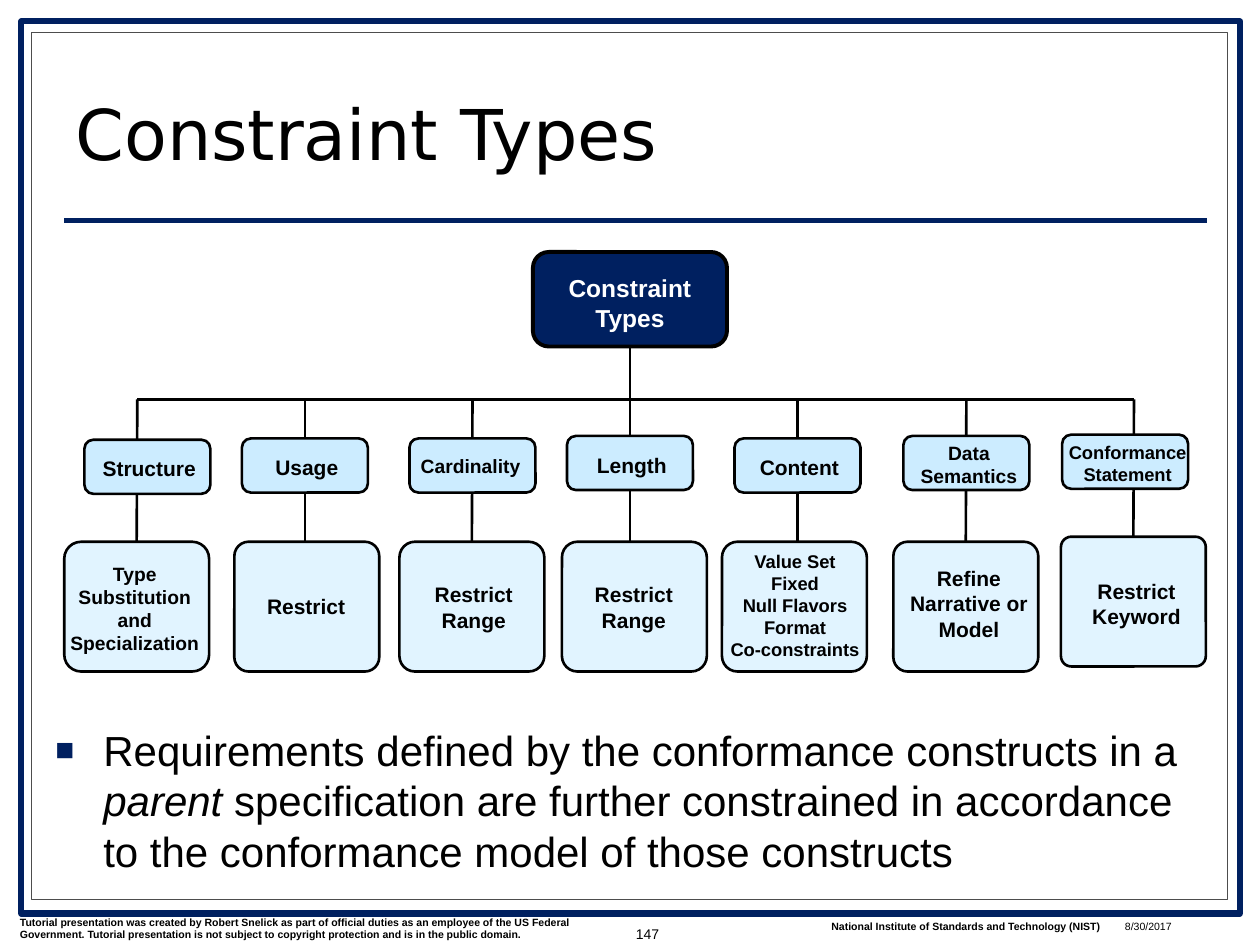
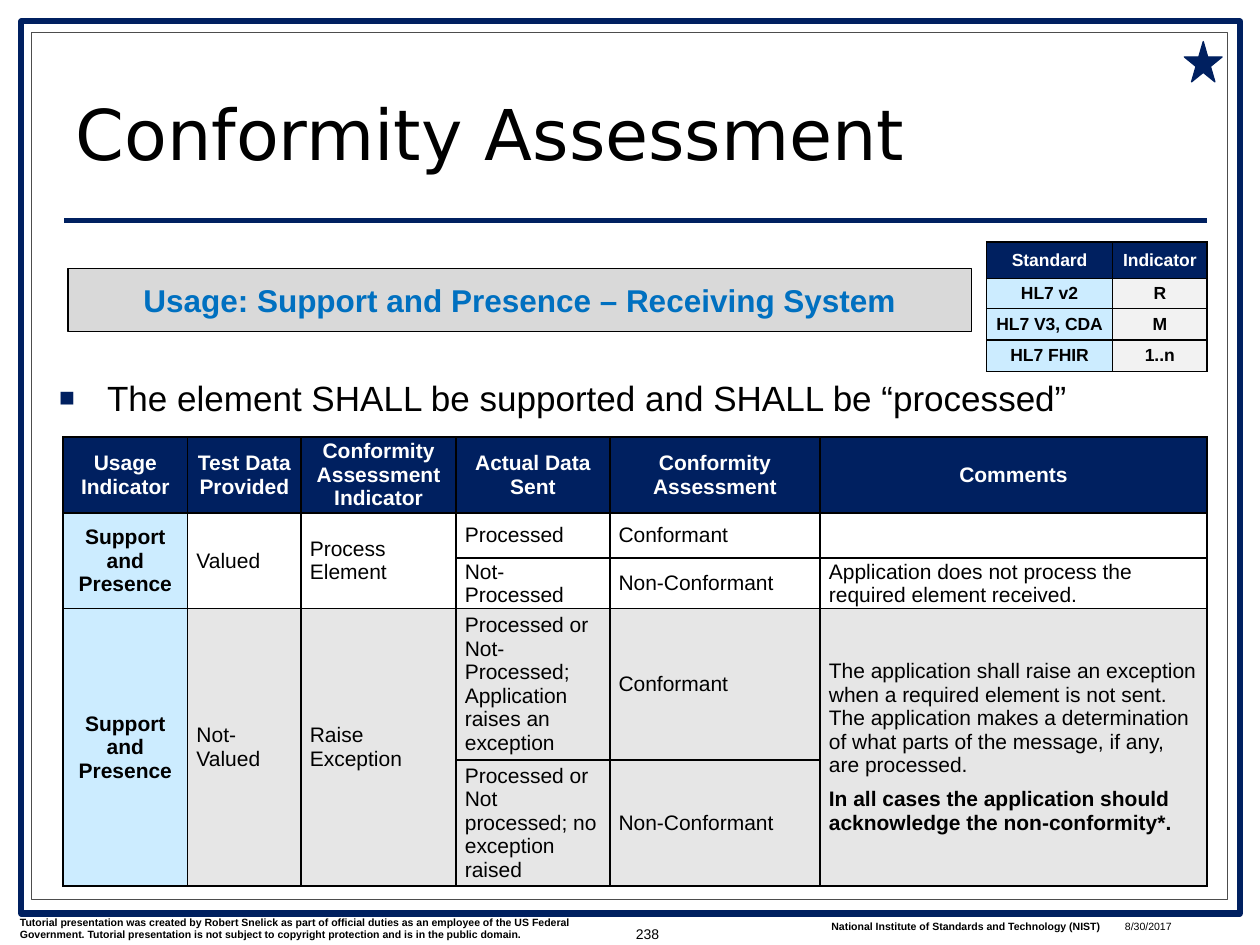
from lxml.etree import SubElement
from pptx import Presentation
from pptx.dml.color import RGBColor
from pptx.enum.shapes import MSO_CONNECTOR, MSO_SHAPE
from pptx.enum.text import MSO_ANCHOR, MSO_AUTO_SIZE, PP_ALIGN
from pptx.oxml.ns import qn
from pptx.util import Inches, Pt

NAVY = RGBColor(0x00, 0x20, 0x60)
BLACK = RGBColor(0x00, 0x00, 0x00)
WHITE = RGBColor(0xFF, 0xFF, 0xFF)
FRAME_GRAY = RGBColor(0x4D, 0x4D, 0x4D)
BANNER_GRAY = RGBColor(0xD9, 0xD9, 0xD9)
ROW_GRAY = RGBColor(0xE6, 0xE6, 0xE6)
INDICATOR_GRAY = RGBColor(0xF2, 0xF2, 0xF2)
SKY = RGBColor(0xCC, 0xEC, 0xFF)
PALE_SKY = RGBColor(0xE1, 0xF4, 0xFF)
BANNER_BLUE = RGBColor(0x00, 0x70, 0xC0)

BODY_FONT = "Arial"
TITLE_FONT = "DejaVu Sans"
CENTER = PP_ALIGN.CENTER

DISCLAIMER = ("Tutorial presentation was created by Robert Snelick as part of official duties "
              "as an employee of the US Federal Government. Tutorial presentation is not "
              "subject to copyright protection and is in the public domain.")
INSTITUTE = "National Institute of Standards and Technology (NIST)"
DATE = "8/30/2017"

BUS_Y = 3.17
STEMS = [1.09, 2.42, 3.75, 5, 6.33, 7.67, 9]
CATEGORY_SIZE = (1, 0.43)
OUTCOME_SIZE = (1.15, 1.03)
# Box left and top, label place, label size, label
CATEGORIES = [
    (0.67, 3.49, (0.67, 3.57, 1.03, 0.3), 12, "Structure"),
    (1.92, 3.48, (1.92, 3.56, 1.03, 0.3), 12, "Usage"),
    (3.25, 3.48, (3.22, 3.56, 1.03, 0.29), 11, "Cardinality"),
    (4.5, 3.46, (4.5, 3.54, 1.03, 0.3), 12, "Length"),
    (5.83, 3.48, (5.83, 3.56, 1.03, 0.3), 12, "Content"),
    (7.17, 3.46, (7.15, 3.45, 1.08, 0.47), 11, "Data Semantics"),
    (8.43, 3.45, (8.34, 3.45, 1.22, 0.45), 10.5, "Conformance Statement"),
]
# Box left and top, corner, label place, label size, label
OUTCOMES = [
    (0.51, 4.3, 0.13, (0.45, 4.41, 1.24, 0.84), 11, "Type Substitution and Specialization"),
    (1.86, 4.3, 0.11, (1.68, 4.66, 1.5, 0.3), 12, "Restrict"),
    (3.17, 4.3, 0.12, (3.15, 4.57, 1.22, 0.5), 12, "Restrict Range"),
    (4.46, 4.3, 0.12, (4.42, 4.57, 1.22, 0.5), 12, "Restrict Range"),
    (5.73, 4.3, 0.12, (5.57, 4.32, 1.48, 0.98), 10.5,
     "Value Set\nFixed\nNull Flavors Format\nCo-constraints"),
    (7.09, 4.3, 0.11, (7.08, 4.44, 1.22, 0.71), 12, "Refine Narrative or Model"),
    (8.42, 4.26, 0.08, (8.41, 4.54, 1.22, 0.5), 12, "Restrict Keyword"),
]

ASSESSMENT = [
    ["Usage Indicator", "Test Data Provided", "Conformity Assessment Indicator",
     "Actual Data Sent", "Conformity Assessment", "Comments"],
    ["Support and Presence", "Valued", "Process Element", "Processed", "Conformant", ""],
    ["", "", "", "Not-Processed", "Non-Conformant",
     "Application does not process the required element received."],
    ["Support and Presence", "Not-Valued", "Raise Exception",
     "Processed or Not-Processed; Application raises an exception", "Conformant",
     "The application shall raise an exception when a required element is not sent. "
     "The application makes a determination of what parts of the message, if any, "
     "are processed."],
    ["", "", "", "Processed or Not processed; no exception raised", "Non-Conformant", ""],
]
ACKNOWLEDGE = "In all cases the application should acknowledge the non-conformity*."
INDICATORS = [["Standard", "Indicator"], ["HL7 v2", "R"],
              ["HL7 V3, CDA", "M"], ["HL7 FHIR", "1..n"]]


def inches(values):
    return [Inches(value) for value in values]


def add_run(paragraph, text, size, color=BLACK, bold=False, italic=False, font=BODY_FONT):
    run = paragraph.add_run()
    run.text = text
    run.font.name = font
    run.font.size = Pt(size)
    run.font.color.rgb = color
    run.font.bold = bold
    run.font.italic = italic


def add_label(slide, place, text, size, color=BLACK, bold=True, align=CENTER,
              anchor=MSO_ANCHOR.TOP):
    """Add a text box; each line of text becomes a paragraph."""
    label = slide.shapes.add_textbox(*inches(place))
    frame = label.text_frame
    frame.word_wrap = True
    frame.vertical_anchor = anchor
    for number, line in enumerate(text.split("\n")):
        paragraph = frame.add_paragraph() if number else frame.paragraphs[0]
        paragraph.alignment = align
        add_run(paragraph, line, size, color, bold)
    return label


def add_box(slide, kind, place, fill, line, weight, corner=None):
    box = slide.shapes.add_shape(kind, *inches(place))
    box.shadow.inherit = False
    box.fill.solid()
    box.fill.fore_color.rgb = fill
    box.line.color.rgb = line
    box.line.width = Pt(weight)
    if corner is not None:
        box.adjustments[0] = corner
    return box


def add_line(slide, start, end, color=BLACK, weight=1.5):
    line = slide.shapes.add_connector(MSO_CONNECTOR.STRAIGHT, *inches(start + end))
    line.line.color.rgb = color
    line.line.width = Pt(weight)
    SubElement(line.element.spPr, qn("a:effectLst"))
    return line


def add_shared_frame(slide, layout):
    """Draw the border, title rule and footers, then move them to the layout."""
    parts = [
        add_box(slide, MSO_SHAPE.RECTANGLE, (0.17, 0.17, 9.67, 7.08), WHITE, NAVY, 3.5),
        add_box(slide, MSO_SHAPE.RECTANGLE, (0.25, 0.26, 9.49, 6.88), WHITE, FRAME_GRAY, 0.75),
        add_line(slide, (0.51, 1.75), (9.58, 1.75), NAVY, 3),
        add_label(slide, (0.06, 7.22, 4.83, 0.3), DISCLAIMER, 6, align=PP_ALIGN.LEFT),
        add_label(slide, (6.5, 7.25, 2.38, 0.2), INSTITUTE, 6, align=PP_ALIGN.LEFT),
    ]
    for number, part in enumerate(parts):
        part.element.xpath(".//p:cNvPr")[0].set("id", str(100 + number))
        layout.shapes.element.append(part.element)


def place_placeholder(placeholder, place):
    placeholder.left, placeholder.top, placeholder.width, placeholder.height = inches(place)
    frame = placeholder.text_frame
    frame.word_wrap = True
    frame.auto_size = MSO_AUTO_SIZE.NONE
    return frame


def set_title(slide, text):
    frame = place_placeholder(slide.shapes.title, (0.5, 0.53, 8.92, 0.9))
    frame.vertical_anchor = MSO_ANCHOR.BOTTOM
    paragraph = frame.paragraphs[0]
    paragraph.alignment = PP_ALIGN.LEFT
    paragraph.line_spacing = 0.8
    add_run(paragraph, text, 40, font=TITLE_FONT)


def set_bullet(slide, place, size, runs):
    """Fill the body placeholder with one bullet; runs are (text, italic) pairs."""
    paragraph = place_placeholder(slide.placeholders[1], place).paragraphs[0]
    paragraph.space_before = Pt(0)
    properties = paragraph._p.get_or_add_pPr()
    properties.set("marL", str(Inches(0.38)))
    properties.set("indent", str(-Inches(0.38)))
    color = SubElement(properties, qn("a:buClr"))
    SubElement(color, qn("a:srgbClr"), val=str(NAVY))
    SubElement(properties, qn("a:buSzPct"), val="75000")
    SubElement(properties, qn("a:buFont"), typeface=BODY_FONT)
    SubElement(properties, qn("a:buChar"), char="■")
    for text, italic in runs:
        add_run(paragraph, text, size, italic=italic)


def add_footer(slide, number):
    add_label(slide, (8.83, 7.25, 0.92, 0.17), DATE, 6, bold=False, align=PP_ALIGN.LEFT)
    add_label(slide, (4.75, 7.15, 0.58, 0.52), number, 8, bold=False,
              align=PP_ALIGN.RIGHT, anchor=MSO_ANCHOR.MIDDLE)


def style_cell(cell, fill):
    properties = cell._tc.get_or_add_tcPr()
    for side in ("a:lnL", "a:lnR", "a:lnT", "a:lnB"):
        border = SubElement(properties, qn(side), w=str(Pt(1)))
        SubElement(SubElement(border, qn("a:solidFill")), qn("a:srgbClr"), val=str(BLACK))
    cell.fill.solid()
    cell.fill.fore_color.rgb = fill
    cell.vertical_anchor = MSO_ANCHOR.MIDDLE
    cell.margin_left = cell.margin_right = Inches(0.07)
    cell.margin_top = cell.margin_bottom = 0


def add_grid(slide, corner, widths, heights, rows, size, look):
    """Add a table; look(row, column) gives a cell's fill, colour, bold and alignment."""
    place = (*corner, sum(widths), sum(heights))
    table = slide.shapes.add_table(len(rows), len(widths), *inches(place)).table
    table.horz_banding = False
    for column, width in zip(table.columns, widths):
        column.width = Inches(width)
    for r, (height, texts) in enumerate(zip(heights, rows)):
        table.rows[r].height = Inches(height)
        for c, text in enumerate(texts):
            fill, color, bold, align = look(r, c)
            cell = table.cell(r, c)
            style_cell(cell, fill)
            paragraph = cell.text_frame.paragraphs[0]
            paragraph.alignment = align
            if text:
                add_run(paragraph, text, size, color, bold)
    return table


def assessment_look(row, column):
    if row == 0:
        return NAVY, WHITE, True, CENTER
    if column == 0:
        return SKY, BLACK, True, CENTER
    return (WHITE if row < 3 else ROW_GRAY), BLACK, False, PP_ALIGN.LEFT


def indicator_look(row, column):
    if row == 0:
        return NAVY, WHITE, True, CENTER
    return (INDICATOR_GRAY if column else SKY), BLACK, True, CENTER


def add_constraint_tree(slide):
    rounded = MSO_SHAPE.ROUNDED_RECTANGLE
    for stem, (left, top, corner, place, size, text) in zip(STEMS, OUTCOMES):
        outcome = add_box(slide, rounded, (left, top, *OUTCOME_SIZE), PALE_SKY, BLACK, 1.5, corner)
        add_label(slide, place, text, size)
        drop = add_line(slide, (stem, BUS_Y), (stem, top))
        if abs(left + OUTCOME_SIZE[0] / 2 - stem) < 0.01:
            drop.end_connect(outcome, 0)
    for left, top, place, size, text in CATEGORIES:
        add_box(slide, rounded, (left, top, *CATEGORY_SIZE), SKY, BLACK, 1.5)
        add_label(slide, place, text, size)
    root = add_box(slide, rounded, (4.23, 2, 1.54, 0.75), NAVY, BLACK, 2.25)
    add_label(slide, (4.3, 2.12, 1.4, 0.57), "Constraint Types", 14, WHITE)
    add_line(slide, (STEMS[0], BUS_Y), (STEMS[-1], BUS_Y))
    add_line(slide, (5, 2.75), (5, BUS_Y)).begin_connect(root, 2)


def add_assessment_table(slide):
    table = add_grid(slide, (0.5, 3.47), [0.99, 0.9, 1.23, 1.22, 1.67, 3.07],
                     [0.57, 0.36, 0.37, 1.12, 0.93], ASSESSMENT, 12, assessment_look)
    for row, column in [(1, 0), (1, 1), (1, 2), (3, 0), (3, 1), (3, 2), (3, 5)]:
        table.cell(row, column).merge(table.cell(row + 1, column))
    acknowledge = table.cell(3, 5).text_frame.add_paragraph()
    acknowledge.space_before = Pt(6)
    add_run(acknowledge, ACKNOWLEDGE, 12, bold=True)


def add_banner(slide, text):
    banner = add_box(slide, MSO_SHAPE.RECTANGLE, (0.54, 2.13, 7.17, 0.5), BANNER_GRAY, BLACK, 0.75)
    banner.text_frame.vertical_anchor = MSO_ANCHOR.MIDDLE
    paragraph = banner.text_frame.paragraphs[0]
    paragraph.alignment = CENTER
    add_run(paragraph, text, 18, BANNER_BLUE, bold=True)


def main():
    deck = Presentation()
    deck.slide_width, deck.slide_height = Inches(10), Inches(7.5)
    layout = deck.slide_layouts[1]

    types = deck.slides.add_slide(layout)
    add_shared_frame(types, layout)
    set_title(types, "Constraint Types")
    set_bullet(types, (0.34, 5.7, 9.27, 1.17), 24, [
        ("Requirements defined by the conformance constructs in a ", False),
        ("parent", True),
        (" specification are further constrained in accordance to the conformance model "
         "of those constructs", False)])
    add_footer(types, "147")
    add_constraint_tree(types)

    conformity = deck.slides.add_slide(layout)
    set_title(conformity, "Conformity Assessment")
    set_bullet(conformity, (0.37, 2.94, 9.17, 0.54), 20,
               [("The element SHALL be supported and SHALL be “processed”", False)])
    add_footer(conformity, "238")
    add_assessment_table(conformity)
    add_banner(conformity, "Usage: Support and Presence – Receiving System")
    add_grid(conformity, (7.83, 1.92), [1, 0.75], [0.29, 0.24, 0.25, 0.25],
             INDICATORS, 10, indicator_look)
    add_box(conformity, MSO_SHAPE.STAR_5_POINT, (9.4, 0.33, 0.3, 0.32), NAVY, NAVY, 0.75)

    deck.save("out.pptx")


if __name__ == "__main__":
    main()
